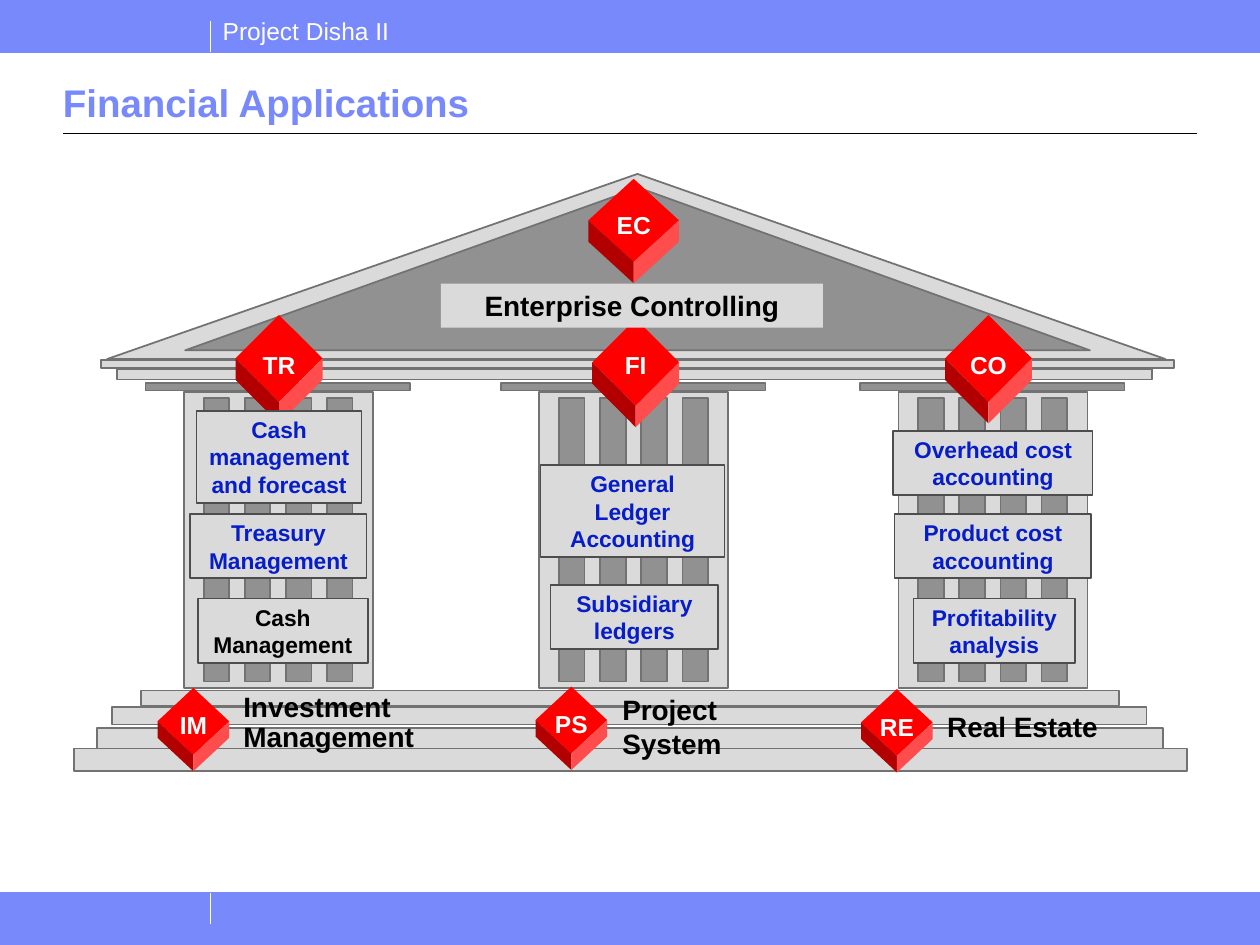
from dataclasses import dataclass

from lxml import etree
from pptx import Presentation
from pptx import util as u
from pptx.dml.color import RGBColor
from pptx.enum import shapes as s
from pptx.enum import text as t
from pptx.oxml import ns


@dataclass(frozen=True)
class Theme:
    """Colours, font and type sizes of the slide."""
    font: str = "Arial"
    band: str = "7889FB"
    white: str = "FFFFFF"
    black: str = "000000"
    stone: str = "DADADA"
    dark_stone: str = "919191"
    stone_edge: str = "727272"
    box_edge: str = "4D4D4D"
    blue: str = "061DC8"
    cube_top: str = "FF0000"
    cube_left: str = "B20000"
    cube_right: str = "FF4C4C"
    title: int = 22
    caption: int = 16
    label: int = 14
    box: int = 13


THEME = Theme()
BIG_CUBE = (49.7, 49.7, 12.2)
PEAK_CUBE = (51.8, 47.5, 12.2)
SMALL_CUBE = (41, 38.2, 9.4)


def paint(shape, fill, edge=None, weight=1):
    """Set fill and outline, and remove the shadow."""
    shape.shadow.inherit = False
    shape.fill.solid()
    shape.fill.fore_color.rgb = RGBColor.from_string(fill)
    if edge:
        shape.line.color.rgb = RGBColor.from_string(edge)
        shape.line.width = u.Pt(weight)
    else:
        shape.line.fill.background()


def write(shape, text, size=THEME.caption, color=THEME.black, bold=True, align=t.PP_ALIGN.LEFT,
          anchor=t.MSO_ANCHOR.TOP, inset=(5.8, 2.9), wrap=True, grow=True, spacing=None):
    """Put formatted text into a shape, one paragraph a line."""
    frame = shape.text_frame
    frame.word_wrap = wrap
    frame.auto_size = t.MSO_AUTO_SIZE.SHAPE_TO_FIT_TEXT if grow else t.MSO_AUTO_SIZE.NONE
    frame.vertical_anchor = anchor
    frame.margin_left = frame.margin_right = u.Pt(inset[0])
    frame.margin_top = frame.margin_bottom = u.Pt(inset[1])
    frame.text = text
    for paragraph in frame.paragraphs:
        paragraph.alignment = align
        if spacing:
            paragraph.line_spacing = spacing
        font = paragraph.font
        font.name, font.size, font.bold = THEME.font, u.Pt(size), bold
        font.color.rgb = RGBColor.from_string(color)


def add_text(parent, place, text, **text_format):
    """Add a text box."""
    write(parent.shapes.add_textbox(*map(u.Pt, place)), text, **text_format)


def add_block(slide, place, fill=THEME.stone, edge=THEME.stone_edge, weight=1):
    """Add a plain rectangle."""
    shape = slide.shapes.add_shape(s.MSO_SHAPE.RECTANGLE, *map(u.Pt, place))
    paint(shape, fill, edge, weight)
    return shape


def add_box(slide, place, text, edge=THEME.box_edge, **text_format):
    """Add a rectangle with centred text."""
    shape = add_block(slide, place, edge=edge)
    write(shape, text, align=t.PP_ALIGN.CENTER, **text_format)


def add_line(slide, start, end, color, weight=0.75):
    """Add a straight line."""
    line = slide.shapes.add_connector(s.MSO_CONNECTOR.STRAIGHT, *map(u.Pt, start + end))
    line.line.color.rgb = RGBColor.from_string(color)
    line.line.width = u.Pt(weight)
    etree.SubElement(line._element.spPr, ns.qn("a:effectLst"))


def add_polygon(parent, points, fill, edge=None):
    """Add a closed outline through the points."""
    start, *others = [(u.Pt(x), u.Pt(y)) for x, y in points]
    builder = parent.shapes.build_freeform(*start)
    builder.add_line_segments(others, close=True)
    paint(builder.convert_to_shape(), fill, edge)


def add_cube(slide, left, top, size, label, drop=2.2):
    """Add a grouped cube standing on its corner, with a label on its top face."""
    width, height, depth = size
    center, right = left + width / 2, left + width
    middle, bottom = top + height / 2, top + height
    group = slide.shapes.add_group_shape()
    add_polygon(group, [(center, top), (left, middle), (center, bottom), (right, middle)],
                THEME.cube_top)
    for side, fill in ((left, THEME.cube_left), (right, THEME.cube_right)):
        add_polygon(group, [(side, middle), (center, bottom), (center, bottom + depth),
                            (side, middle + depth)], fill)
    add_text(group, (center - 16, middle + drop - 8.3, 32, 16.6), label, size=THEME.label,
             color=THEME.white, align=t.PP_ALIGN.CENTER, anchor=t.MSO_ANCHOR.MIDDLE, inset=(1.5, 0))


def add_column(slide, left):
    """Add a fluted column with its capital."""
    add_block(slide, (left - 22, 218.9, 151.2, 4.3), THEME.dark_stone)
    add_block(slide, (left, 223.9, 108, 169.2))
    for flute in range(4):
        add_block(slide, (left + 11.3 + 23.5 * flute, 227.5, 14.6, 162), THEME.dark_stone)


def add_frame(slide):
    """Add the header, the footer and the title."""
    for top in (509.8, 0):
        add_block(slide, (0, top, 720, 30.2), THEME.band, THEME.band, 0.75)
    add_text(slide, (120.2, 5.8, 109.4, 24.5), "Project Disha II", size=THEME.label,
             color=THEME.white, bold=False, inset=(7.2, 3.6), wrap=False)
    for bottom, edge in ((30.2, 30.2), (527.8, 509.8)):
        add_line(slide, (120.2, bottom), (120.2, bottom - 18), THEME.white)
        add_line(slide, (0, edge), (720, edge), THEME.band, 0.5)
    add_line(slide, (36, 76.3), (684, 76.3), THEME.black)
    add_text(slide, (36, 38.9, 648, 36), "Financial Applications", size=THEME.title,
             color=THEME.band, anchor=t.MSO_ANCHOR.BOTTOM, inset=(0, 3.6), grow=False)


def add_temple(slide):
    """Add the roof, the columns and the steps."""
    add_polygon(slide, [(61.2, 205.2), (666, 205.2), (364.3, 99.4)], THEME.stone, THEME.stone_edge)
    add_polygon(slide, [(105.8, 200.2), (622.8, 200.2), (365, 107.3)], THEME.dark_stone,
                THEME.stone_edge)
    for place in ((57.6, 205.9, 613.4, 4.3), (67, 211, 591.1, 5.8)):
        add_block(slide, place)
    for left in (513.4, 308.2, 105.1):
        add_column(slide, left)
    for place in ((80.6, 394.6, 558.7, 8.6), (64.1, 403.9, 591.1, 10.1),
                  (55.4, 416.2, 609.1, 11.5), (42.5, 427.7, 635.8, 13)):
        add_block(slide, place)


def add_modules(slide):
    """Add the cubes and the boxes of the modules."""
    add_cube(slide, 540, 180, BIG_CUBE, "CO", drop=3.6)
    add_cube(slide, 338.4, 182.2, BIG_CUBE, "FI", drop=1.4)
    add_cube(slide, 134.6, 180, BIG_CUBE, "TR", drop=3.6)
    add_cube(slide, 336.2, 102.2, PEAK_CUBE, "EC")
    add_box(slide, (252, 162, 218.2, 25.2), "Enterprise Controlling", edge=None)
    boxes = [
        ((308.9, 265.7, 105.1, 52.6), "General Ledger Accounting", THEME.blue),
        ((314.6, 334.1, 95.8, 36.7), "Subsidiary ledgers", THEME.blue),
        ((112.3, 234.7, 94.3, 52.6), "Cash management and forecast", THEME.blue),
        ((108.7, 293.8, 100.8, 36.7), "Treasury Management", THEME.blue),
        ((113, 342, 97.2, 36.7), "Cash Management", THEME.black),
        ((510.5, 246.2, 113.8, 36.7), "Overhead cost accounting", THEME.blue),
        ((511.2, 293.8, 112.3, 36.7), "Product cost accounting", THEME.blue),
        ((522, 342, 92.2, 36.7), "Profitability analysis", THEME.blue),
    ]
    for place, text, color in boxes:
        add_box(slide, place, text, size=THEME.box, color=color)
    add_cube(slide, 90, 393.1, SMALL_CUBE, "IM")
    add_text(slide, (133.2, 393.1, 109.4, 40.3), "Investment\nManagement", wrap=False, spacing=0.9)
    add_cube(slide, 306, 392.4, SMALL_CUBE, "PS")
    add_text(slide, (348.5, 392.4, 71.3, 46.1), "Project\nSystem", inset=(7.2, 3.6), wrap=False)
    add_cube(slide, 492, 393.8, SMALL_CUBE, "RE")
    add_text(slide, (534.2, 401.8, 120.2, 26.6), "Real Estate", inset=(7.2, 3.6))


def main():
    """Build and save the slide."""
    presentation = Presentation()
    presentation.slide_width, presentation.slide_height = u.Pt(720), u.Pt(540)
    slide = presentation.slides.add_slide(presentation.slide_layouts[6])
    add_frame(slide)
    add_temple(slide)
    add_modules(slide)
    presentation.save("out.pptx")


if __name__ == "__main__":
    main()
